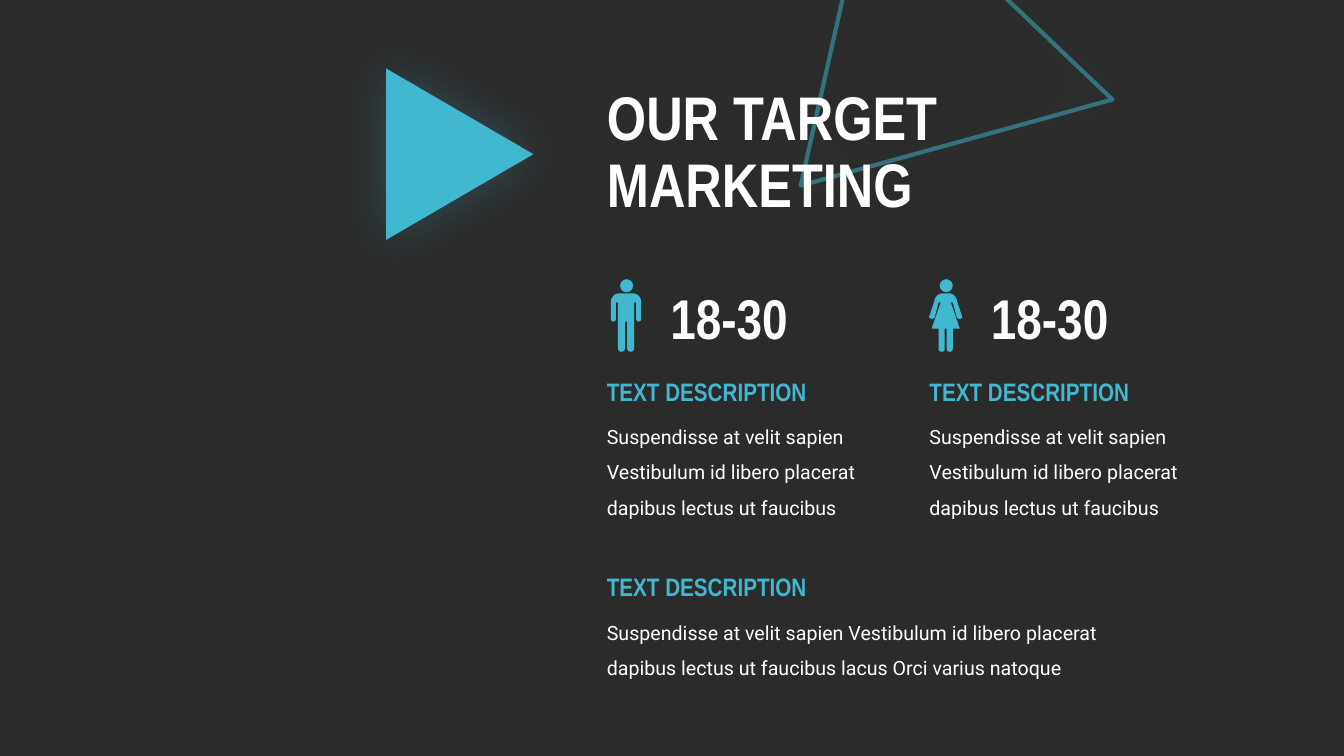
from dataclasses import dataclass

from lxml import etree
from pptx import Presentation
from pptx import util as u
from pptx.dml.color import RGBColor
from pptx.enum import shapes, text
from pptx.oxml.ns import qn

COLORS = {"back": "2B2B2B", "accent": "41B7D0", "white": "FFFFFF"}
HEADING_FONT = "Arial Narrow"
FORMATS = {
    "title": {"name": HEADING_FONT, "size": u.Pt(44), "bold": True},
    "age": {"name": HEADING_FONT, "size": u.Pt(40), "bold": True},
    "heading": {"name": HEADING_FONT, "size": u.Pt(18), "bold": True},
    "body": {"name": "Roboto", "size": u.Pt(14), "bold": False},
}
SENTENCE = "Suspendisse at velit sapien Vestibulum id libero placerat dapibus lectus ut faucibus"
CURVE_STEPS = 6

MAN = [
    (0, 0), (.07, 0), ((.11, 0), (.15, .04), (.15, .08)), (.15, .25),
    ((.15, .27), (.14, .28), (.13, .28)), ((.11, .28), (.1, .27), (.1, .25)),
    (.1, .09), (.08, .09), (.08, .54), ((.08, .56), (.07, .58), (.05, .58)),
    ((.02, .58), (.01, .56), (.01, .54)), (.01, .28),
]
WOMAN = [
    (0, 0), (.03, 0), ((.05, 0), (.09, .01), (.11, .06)), (.11, .07), (.16, .22),
    ((.17, .24), (.16, .25), (.15, .25)), ((.14, .26), (.12, .25), (.11, .24)),
    (.07, .09), (.05, .09), (.14, .35), (.07, .35), (.07, .55),
    ((.07, .57), (.06, .58), (.04, .58)), ((.02, .58), (.01, .57), (.01, .55)),
    (.01, .35),
]


@dataclass
class Label:
    """A text box with its place and its format."""
    words: str
    left: float
    top: float
    width: float
    height: float
    style: str
    color: str = "white"
    spacing: float = 1.0


@dataclass
class Audience:
    """A target group with its icon, its age range and its column."""
    half_outline: list
    center: float
    age_left: float
    left: float
    ages: str = "18-30"


AUDIENCES = [Audience(MAN, 6.21, 6.55, 5.92), Audience(WOMAN, 9.38, 9.73, 9.12)]


def rgb(name: str) -> RGBColor:
    """Return a named colour."""
    return RGBColor.from_string(COLORS[name])


def inches(*lengths: float) -> list:
    """Convert lengths to Inches."""
    return [u.Inches(length) for length in lengths]


def write(tf, words: str, style: str, color: str, spacing: float) -> None:
    """Put one formatted paragraph in a text frame."""
    tf.text = words
    tf.word_wrap = True
    p = tf.paragraphs[0]
    p.alignment = text.PP_ALIGN.LEFT
    p.line_spacing = spacing
    for r in p.runs:
        for key, value in FORMATS[style].items():
            setattr(r.font, key, value)
        r.font.color.rgb = rgb(color)


def add_label(s, label: Label) -> None:
    """Add a text box that grows with its text."""
    box = inches(label.left, label.top, label.width, label.height)
    tf = s.shapes.add_textbox(*box).text_frame
    write(tf, label.words, label.style, label.color, label.spacing)
    tf.auto_size = text.MSO_AUTO_SIZE.SHAPE_TO_FIT_TEXT


def add_description(s, left: float, top: float, words: str, width: float, height: float) -> None:
    """Add a body text with its heading above."""
    add_label(s, Label(words, left, top + .37, width, height, "body", spacing=1.5))
    add_label(s, Label("TEXT DESCRIPTION", left, top, 2.45, .4, "heading", "accent"))


def add_alpha(color, percent: int) -> None:
    """Make a colour element partly transparent."""
    etree.SubElement(color, qn("a:alpha"), val=str(percent * 1000))


def add_triangle(s, box: tuple, rotation: float, filled: bool):
    """Add a glowing triangle, filled or in outline."""
    sp = s.shapes.add_shape(shapes.MSO_SHAPE.ISOSCELES_TRIANGLE, *inches(*box))
    sp.rotation = rotation
    if filled:
        paint(sp)
    else:
        sp.fill.background()
        sp.line.color.rgb = rgb("accent")
        sp.line.width = u.Pt(3)
        add_alpha(next(sp.line._ln.iter(qn("a:srgbClr"))), 50)
    sp.shadow.inherit = False
    effects = sp._element.spPr.find(qn("a:effectLst"))
    glow = etree.SubElement(effects, qn("a:outerShdw"), blurRad=str(u.Pt(35)),
                            dist="0", dir="0", algn="ctr", rotWithShape="0")
    add_alpha(etree.SubElement(glow, qn("a:srgbClr"), val=COLORS["accent"]), 25)
    return sp


def paint(sp) -> None:
    """Fill a shape with the accent colour, without line or shadow."""
    sp.fill.solid()
    sp.fill.fore_color.rgb = rgb("accent")
    sp.line.fill.background()
    sp.shadow.inherit = False


def flatten(outline: list) -> list:
    """Turn an outline of points and cubic curves into points."""
    points = []
    for item in outline:
        if len(item) == 2:
            points.append(item)
            continue
        controls = (points[-1], *item)
        for step in range(1, CURVE_STEPS + 1):
            t = step / CURVE_STEPS
            weights = ((1 - t) ** 3, 3 * t * (1 - t) ** 2, 3 * t * t * (1 - t), t ** 3)
            points.append(tuple(sum(w * c[axis] for w, c in zip(weights, controls))
                                for axis in (0, 1)))
    return points


def add_person(s, half_outline: list, center: float) -> None:
    """Add a symmetric figure, grouped with its head."""
    group = s.shapes.add_group_shape()
    head = group.shapes.add_shape(shapes.MSO_SHAPE.OVAL, *inches(center - .06, 2.77, .13, .13))
    half = flatten(half_outline)
    ring = half + [(-x, y) for x, y in reversed(half)]
    points = [inches(center + x, 2.91 + y) for x, y in ring]
    builder = group.shapes.build_freeform(*points[0])
    builder.add_line_segments(points[1:], close=True)
    for sp in (head, builder.convert_to_shape()):
        paint(sp)


def add_title(s, words: str):
    """Move and format the title placeholder."""
    title = s.shapes.title
    title.left, title.top, title.width, title.height = inches(5.92, .74, 5.62, 1.58)
    tf = title.text_frame
    write(tf, words, "title", "white", .9)
    tf.vertical_anchor = text.MSO_ANCHOR.MIDDLE
    tf.auto_size = text.MSO_AUTO_SIZE.NONE
    return title


def main() -> None:
    """Build the target marketing slide."""
    prs = Presentation()
    prs.slide_width, prs.slide_height = inches(13.33, 7.5)
    s = prs.slides.add_slide(prs.slide_layouts[5])
    s.background.fill.solid()
    s.background.fill.fore_color.rgb = rgb("back")

    title = add_title(s, "OUR TARGET\vMARKETING")
    outline = add_triangle(s, (7.24, -.53, 3.3, 2.75), 223.6, filled=False)
    outline._element.addnext(title._element)
    add_triangle(s, (3.71, .8, 1.7, 1.46), 90, filled=True)

    for audience in AUDIENCES:
        add_person(s, audience.half_outline, audience.center)
        add_description(s, audience.left, 3.68, SENTENCE, 2.86, 1.12)
        add_label(s, Label(audience.ages, audience.age_left, 2.76, 1.79, .77, "age"))
    add_description(s, 5.92, 5.62, f"{SENTENCE} lacus Orci varius natoque", 5.13, .77)
    prs.save("out.pptx")


if __name__ == "__main__":
    main()
